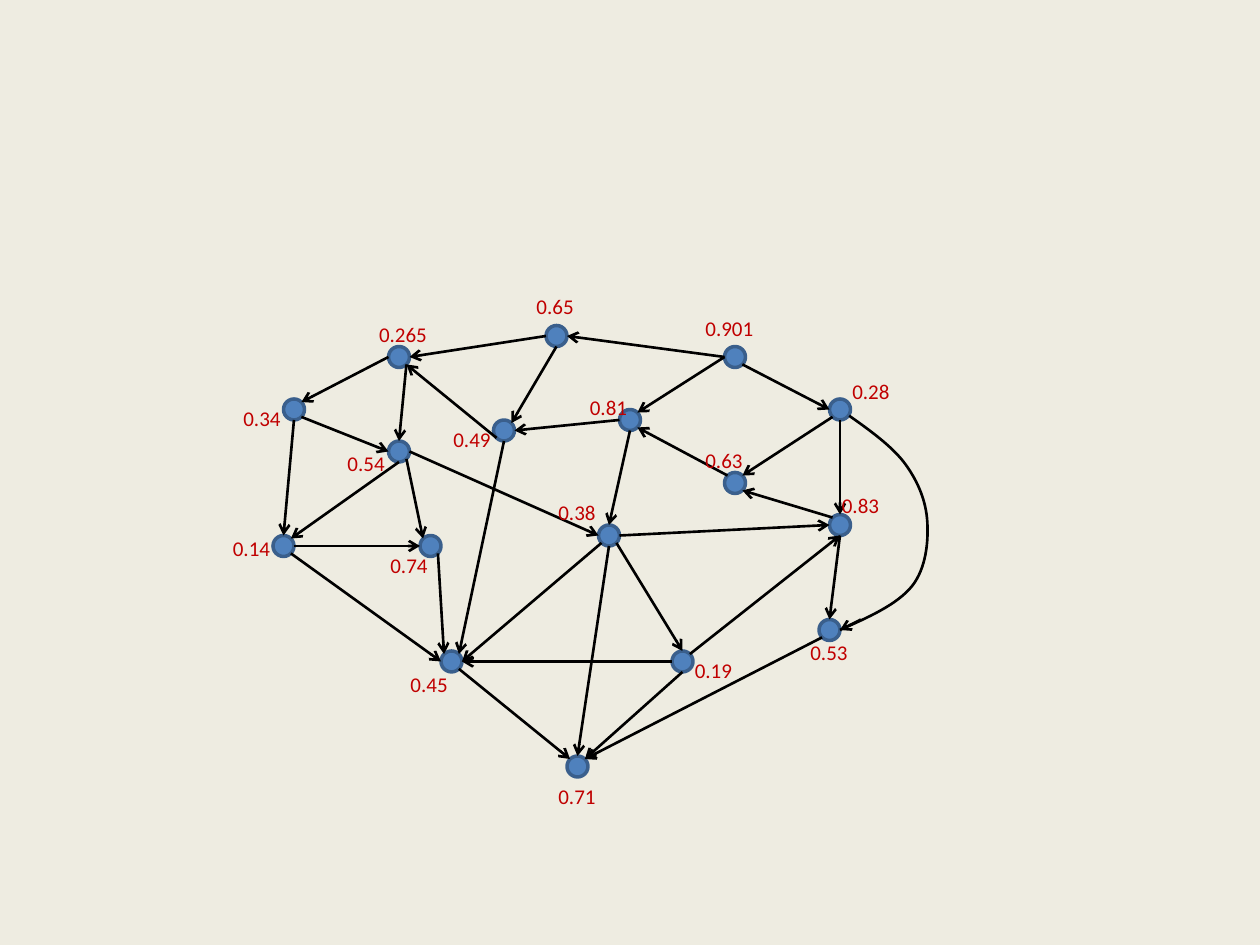
from math import hypot

from lxml.etree import SubElement
from pptx import Presentation
from pptx.dml.color import RGBColor
from pptx.enum.shapes import MSO_CONNECTOR, MSO_SHAPE
from pptx.enum.text import MSO_AUTO_SIZE
from pptx.oxml.ns import qn
from pptx.util import Pt

BACKGROUND = RGBColor(0xEE, 0xEC, 0xE1)
NODE_FILL = RGBColor(0x4F, 0x81, 0xBD)
NODE_LINE = RGBColor(0x3A, 0x5F, 0x8C)
EDGE_COLOR = RGBColor(0, 0, 0)
LABEL_COLOR = RGBColor(0xC0, 0, 0)
RADIUS = 6

# Node value: (centre), (left and top of its label)
NODES = {
    "0.34": ((168, 234), (132, 228)),
    "0.265": ((228, 204), (209.5, 180)),
    "0.65": ((318, 192), (299.5, 164)),
    "0.74": ((246, 312), (216, 312)),
    "0.54": ((228, 258), (191.5, 254)),
    "0.14": ((162, 312), (126, 302.5)),
    "0.49": ((288, 246), (252, 240)),
    "0.81": ((360, 240), (330, 222)),
    "0.38": ((348, 306), (312, 282)),
    "0.83": ((480, 300), (474, 278)),
    "0.28": ((480, 234), (480, 212.5)),
    "0.901": ((420, 204), (396, 176.5)),
    "0.63": ((420, 276), (396, 252)),
    "0.45": ((258, 378), (227.5, 380)),
    "0.19": ((390, 378), (390, 372)),
    "0.53": ((474, 360), (456, 362)),
    "0.71": ((330, 438), (312, 444)),
}

# Start node, side it leaves from, end node, side it enters
EDGES = [
    ("0.265", "W", "0.34", "NE"), ("0.65", "W", "0.265", "E"),
    ("0.901", "W", "0.81", "NE"), ("0.901", "SE", "0.28", "W"),
    ("0.28", "SW", "0.63", "NE"), ("0.901", "W", "0.65", "E"),
    ("0.63", "NW", "0.81", "SE"), ("0.81", "W", "0.49", "E"),
    ("0.65", "S", "0.49", "NE"), ("0.265", "SE", "0.54", "N"),
    ("0.49", "SW", "0.265", "SE"), ("0.81", "S", "0.38", "N"),
    ("0.19", "NE", "0.83", "S"), ("0.38", "SE", "0.19", "N"),
    ("0.38", "E", "0.83", "W"), ("0.83", "NW", "0.63", "SE"),
    ("0.49", "S", "0.45", "NE"), ("0.38", "SW", "0.45", "E"),
    ("0.19", "W", "0.45", "E"), ("0.53", "SW", "0.71", "NE"),
    ("0.83", "S", "0.53", "N"), ("0.19", "S", "0.71", "NE"),
    ("0.45", "SE", "0.71", "NW"), ("0.14", "E", "0.74", "W"),
    ("0.34", "SE", "0.54", "W"), ("0.34", "S", "0.14", "N"),
    ("0.54", "SE", "0.74", "NW"), ("0.54", "E", "0.38", "W"),
    ("0.74", "SE", "0.45", "NW"), ("0.38", "S", "0.71", "N"),
    ("0.14", "SE", "0.45", "W"), ("0.54", "S", "0.14", "NE"),
    ("0.28", "S", "0.83", "N"),
]

# Bezier from 0.28 to 0.53: start, then two controls and an end per segment
CURVE = [
    (485.3, 237.6),
    (497.5, 246.2), (510.5, 255.6), (517.7, 265.7),
    (524.9, 275.8), (529.2, 286.6), (529.9, 298.1),
    (530.6, 309.6), (529.2, 324.7), (521.3, 334.8),
    (512.6, 345.6), (496.1, 352.8), (480, 360),
]


def rim_point(node, side):
    """Point on a node's circle in a compass direction."""
    (x, y), _ = NODES[node]
    dx = ("E" in side) - ("W" in side)
    dy = ("S" in side) - ("N" in side)
    reach = RADIUS / hypot(dx, dy)
    return x + dx * reach, y + dy * reach


def style_line(line, color, width):
    line.color.rgb = color
    line.width = Pt(width)


def add_node(slide, center):
    x, y = center
    shape = slide.shapes.add_shape(
        MSO_SHAPE.OVAL, Pt(x - RADIUS), Pt(y - RADIUS), Pt(2 * RADIUS), Pt(2 * RADIUS))
    shape.shadow.inherit = False
    shape.fill.solid()
    shape.fill.fore_color.rgb = NODE_FILL
    style_line(shape.line, NODE_LINE, 2)


def add_arrow(slide, start, end):
    connector = slide.shapes.add_connector(
        MSO_CONNECTOR.STRAIGHT, *(Pt(value) for value in (*start, *end)))
    style_line(connector.line, EDGE_COLOR, 1.5)
    properties = connector._element.spPr
    SubElement(properties.find(qn("a:ln")), qn("a:tailEnd"), type="arrow")
    SubElement(properties, qn("a:effectLst"))


def add_curve(slide, points):
    start, *rest = [(Pt(x), Pt(y)) for x, y in points]
    builder = slide.shapes.build_freeform(*start)
    builder.add_line_segments(rest, close=False)
    shape = builder.convert_to_shape()
    shape.shadow.inherit = False
    shape.fill.background()
    style_line(shape.line, EDGE_COLOR, 1.5)
    # Turn each three straight steps into one cubic segment
    outline = next(shape._element.iter(qn("a:path")))
    steps = outline.findall(qn("a:lnTo"))
    for first in range(0, len(steps), 3):
        cubic = SubElement(outline, qn("a:cubicBezTo"))
        for step in steps[first:first + 3]:
            cubic.append(step[0])
            outline.remove(step)


def add_label(slide, text, position):
    width = 36 if len(text) == 4 else 42.5
    left, top = position
    box = slide.shapes.add_textbox(Pt(left), Pt(top), Pt(width), Pt(21.8))
    frame = box.text_frame
    frame.text = text
    frame.word_wrap = False
    frame.auto_size = MSO_AUTO_SIZE.SHAPE_TO_FIT_TEXT
    font = frame.paragraphs[0].runs[0].font
    font.name = "Calibri"
    font.size = Pt(12)
    font.color.rgb = LABEL_COLOR


def main():
    presentation = Presentation()
    presentation.slide_width, presentation.slide_height = Pt(720), Pt(540)
    slide = presentation.slides.add_slide(presentation.slide_layouts[6])
    slide.background.fill.solid()
    slide.background.fill.fore_color.rgb = BACKGROUND

    # Graph nodes
    for center, _ in NODES.values():
        add_node(slide, center)

    # Directed edges
    for start, start_side, end, end_side in EDGES:
        add_arrow(slide, rim_point(start, start_side), rim_point(end, end_side))

    # Curved edge, with a short arrow as its head
    add_curve(slide, CURVE)
    add_arrow(slide, (492, 354), CURVE[-1])

    # Node values
    for text, (_, position) in NODES.items():
        add_label(slide, text, position)

    presentation.save("out.pptx")


if __name__ == "__main__":
    main()
